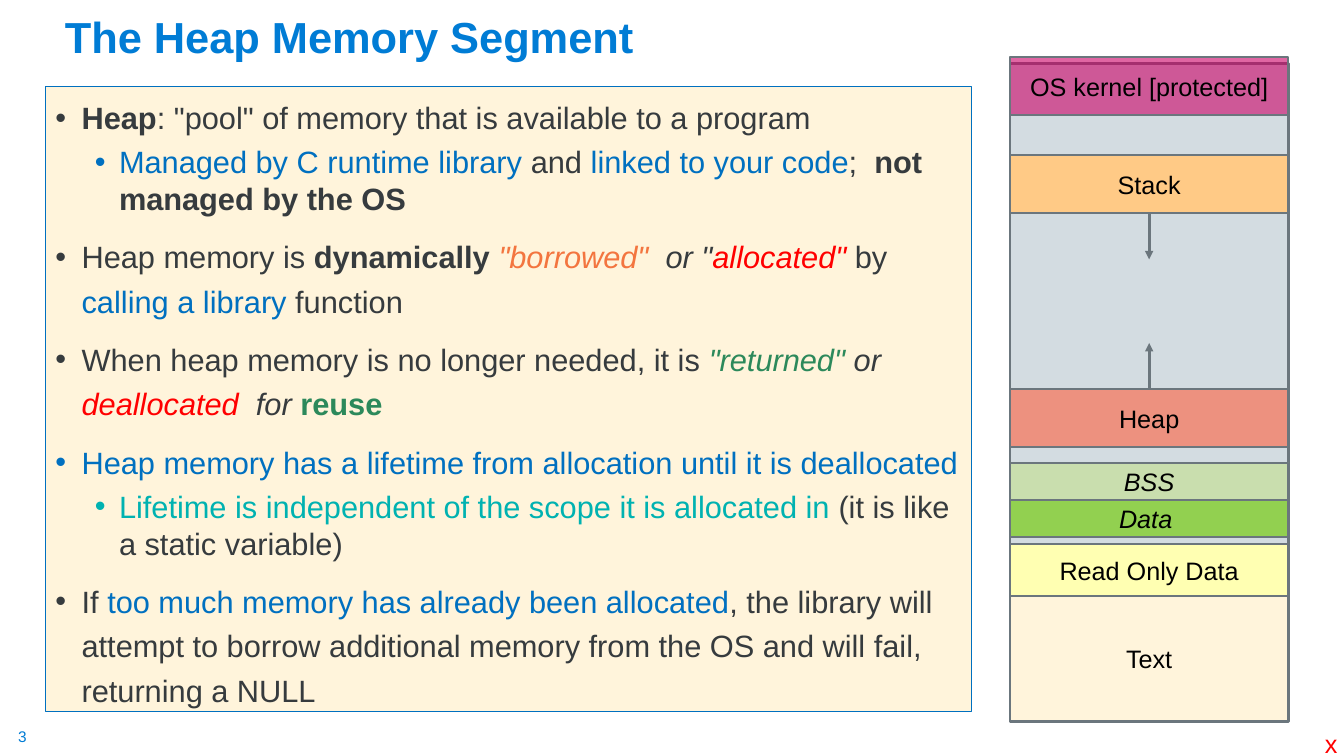
from lxml.etree import SubElement
from pptx import Presentation
from pptx.dml.color import RGBColor
from pptx.enum.shapes import MSO_CONNECTOR, MSO_SHAPE
from pptx.enum.text import MSO_ANCHOR, PP_ALIGN
from pptx.oxml.ns import qn
from pptx.util import Pt

# Colours
INK = RGBColor(0x36, 0x3B, 0x3E)
BLUE = RGBColor(0x00, 0x70, 0xC0)
SKY = RGBColor(0x00, 0x7C, 0xD5)
TEAL = RGBColor(0x00, 0xB2, 0xB1)
GREEN = RGBColor(0x2C, 0x89, 0x5B)
CORAL = RGBColor(0xF3, 0x75, 0x3F)
RED = RGBColor(0xFF, 0x00, 0x00)
BLACK = RGBColor(0x00, 0x00, 0x00)
GREY = RGBColor(0x6B, 0x76, 0x7D)
PALE = RGBColor(0xD3, 0xDC, 0xE1)
CREAM = RGBColor(0xFF, 0xF4, 0xDB)
PINK = RGBColor(0xCC, 0x00, 0x66)
AMBER = RGBColor(0xFF, 0xCA, 0x86)
SALMON = RGBColor(0xED, 0x91, 0x7F)
SAGE = RGBColor(0xC9, 0xDE, 0xAE)
LIME = RGBColor(0x92, 0xD0, 0x50)
LEMON = RGBColor(0xFF, 0xFF, 0xB2)

# Bullets: level, then runs of text, colour, style (b bold, i italic)
POINTS = [
    (0, [("Heap", INK, "b"),
         (': "pool" of memory that is available to a program', INK, "")]),
    (1, [("Managed by C runtime library ", BLUE, ""), ("and ", INK, ""),
         ("linked to your code", BLUE, ""), ("; ", INK, ""),
         (" not managed by the OS", INK, "b")]),
    (0, [("Heap memory is ", INK, ""), ("dynamically ", INK, "b"),
         ('"borrowed"', CORAL, "i"), ('  or "', INK, "i"),
         ('allocated" ', RED, "i"), ("by ", INK, ""),
         ("calling a library ", BLUE, ""), ("function", INK, "")]),
    (0, [("When heap memory is no longer needed, it is ", INK, ""),
         ('"returned" ', GREEN, "i"), ("or ", INK, "i"),
         ("deallocated", RED, "i"), ("  for ", INK, "i"),
         ("reuse", GREEN, "b")]),
    (0, [("Heap memory has a lifetime from allocation until it is deallocated",
          BLUE, "")]),
    (1, [("Lifetime is independent of the scope it is allocated in ", TEAL, ""),
         ("(it is like a static variable)", INK, "")]),
    (0, [("If ", INK, ""),
         ("too much memory has already been allocated", BLUE, ""),
         (", the library will attempt to borrow additional memory from the OS "
          "and will fail, returning a NULL", INK, "")]),
]
# Per level: left margin, hanging indent, line spacing, space before
LEVELS = [(18.7, -18.7, 1.2, 10), (45.4, -17.3, 1.0, 5)]

# Memory segments: name, top, height, fill, style
PARTS = [
    ("OS kernel [protected]", 41, 41, PINK, ""),
    ("Stack", 111, 41.2, AMBER, ""),
    ("Heap", 278.1, 41.2, SALMON, ""),
    ("BSS", 330.5, 26.6, SAGE, "i"),
    ("Read Only Data", 388.7, 37.2, LEMON, ""),
    ("Text", 425.9, 89.3, CREAM, ""),
    ("Data ", 357.1, 26.6, LIME, "i"),
]
LEFT, WIDE = 721.4, 198.9
MID = LEFT + WIDE / 2
# Growth arrows: segment, side joined, start, end
ARROWS = [("Stack", 2, 152.2, 185.3), ("Heap", 0, 278.1, 245)]


def write(para, text, size=18, color=BLACK, style=""):
    run = para.add_run()
    run.text = text
    font = run.font
    font.name, font.size, font.color.rgb = "Arial", Pt(size), color
    font.bold, font.italic = "b" in style, "i" in style


def label(left, top, width, height, wrap=False):
    frame = slide.shapes.add_textbox(
        Pt(left), Pt(top), Pt(width), Pt(height)).text_frame
    frame.word_wrap = wrap
    return frame


def block(left, top, width, height, fill, line, weight):
    box = slide.shapes.add_shape(
        MSO_SHAPE.RECTANGLE, Pt(left), Pt(top), Pt(width), Pt(height))
    box.shadow.inherit = False
    box.fill.solid()
    box.fill.fore_color.rgb = fill
    box.line.color.rgb, box.line.width = line, Pt(weight)
    box.text_frame.word_wrap = True
    return box


deck = Presentation()
deck.slide_width, deck.slide_height = Pt(960), Pt(540)
slide = deck.slides.add_slide(deck.slide_layouts[6])

# Slide number
frame = label(13, 519.1, 13.7, 13.7)
frame.margin_left = frame.margin_right = 0
frame.margin_top = frame.margin_bottom = 0
write(frame.paragraphs[0], "3", size=11, color=SKY)

# Bullet panel
frame = block(32.5, 61.9, 661.3, 446.4, CREAM, BLUE, 0.75).text_frame
frame.vertical_anchor = MSO_ANCHOR.TOP
for num, (level, runs) in enumerate(POINTS):
    para = frame.add_paragraph() if num else frame.paragraphs[0]
    margin, hang, space, before = LEVELS[level]
    para.level, para.alignment = level, PP_ALIGN.LEFT
    para.line_spacing, para.space_before = space, Pt(before)
    props = para._p.get_or_add_pPr()
    props.set("marL", str(Pt(margin)))
    props.set("indent", str(Pt(hang)))
    SubElement(props, qn("a:buFont")).set("typeface", "Arial")
    SubElement(props, qn("a:buChar")).set("char", "•")
    for text, color, style in runs:
        write(para, text, size=22, color=color, style=style)

# Title
frame = label(39.2, 6.5, 555.8, 41.8, wrap=True)
frame.vertical_anchor = MSO_ANCHOR.BOTTOM
frame.paragraphs[0].line_spacing = 0.9
write(frame.paragraphs[0], "The Heap Memory Segment",
      size=31, color=SKY, style="b")

# Corner mark
write(label(939.2, 517, 23.8, 28.8).paragraphs[0], "x", color=RED)

# Memory map
block(LEFT, 45.4, WIDE, 469.8, PALE, GREY, 2)
boxes = {}
for name, top, height, fill, style in PARTS:
    box = boxes[name] = block(LEFT, top, WIDE, height, fill, GREY, 1.5)
    frame = box.text_frame
    frame.vertical_anchor = MSO_ANCHOR.MIDDLE
    frame.paragraphs[0].alignment = PP_ALIGN.CENTER
    write(frame.paragraphs[0], name, style=style)
    if fill == PINK:
        tint = box.fill._xPr.find(qn("a:solidFill"))[0]
        SubElement(tint, qn("a:alpha")).set("val", "60000")

# Growth arrows
for name, side, start, end in ARROWS:
    arrow = slide.shapes.add_connector(
        MSO_CONNECTOR.STRAIGHT, Pt(MID), Pt(start), Pt(MID), Pt(end))
    arrow.begin_connect(boxes[name], side)
    arrow.line.color.rgb, arrow.line.width = GREY, Pt(2)
    SubElement(arrow.line._get_or_add_ln(), qn("a:tailEnd")).set(
        "type", "triangle")
    SubElement(arrow._element.spPr, qn("a:effectLst"))

deck.save("out.pptx")
